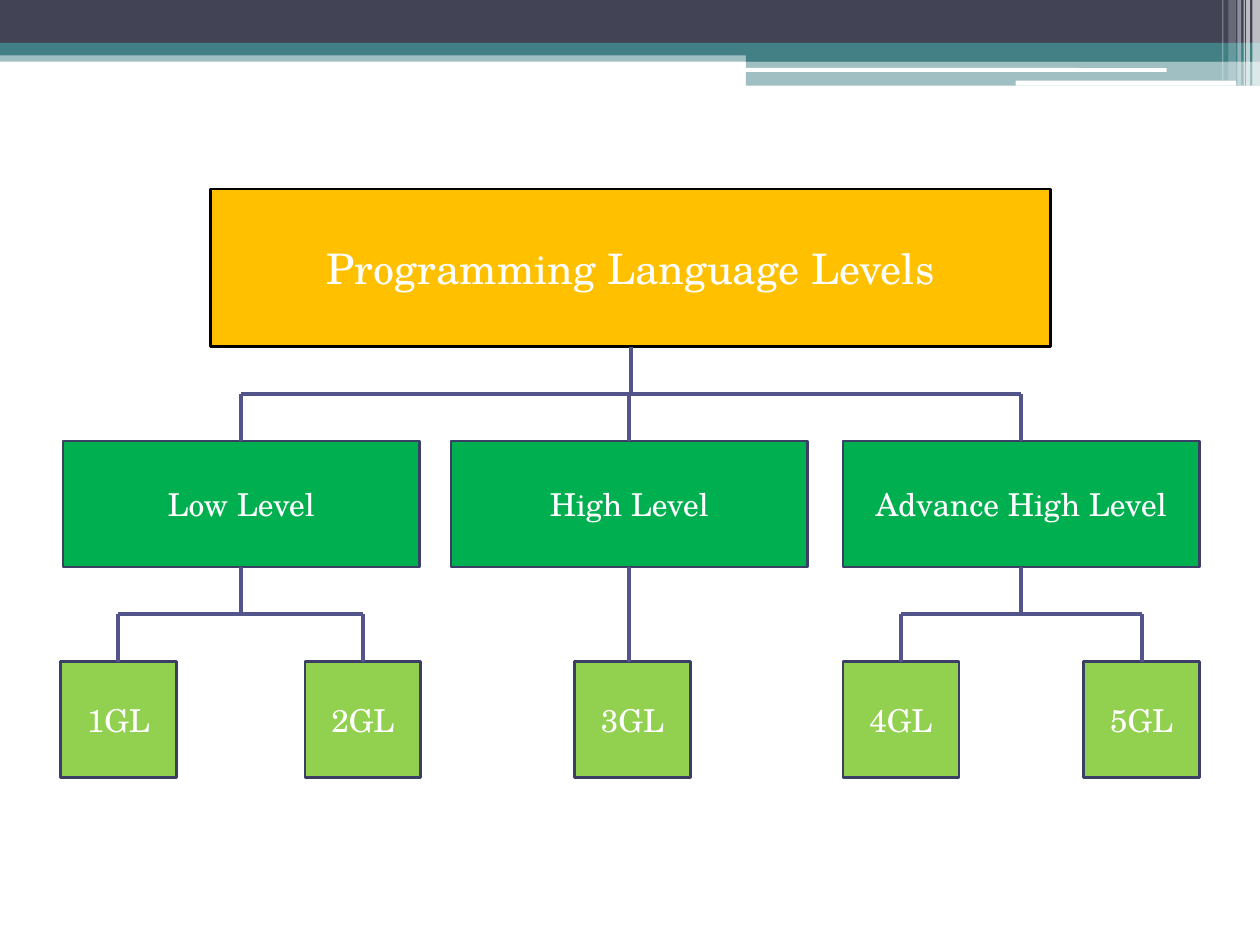
import pptx
import pptx.util
import pptx.dml.color
import pptx.enum.shapes
import pptx.enum.text
import pptx.oxml.ns
import lxml.etree

Inches = pptx.util.Inches
Pt = pptx.util.Pt
RGBColor = pptx.dml.color.RGBColor
SHAPES = pptx.enum.shapes.MSO_SHAPE

WHITE = RGBColor(0xFF, 0xFF, 0xFF)
BLACK = RGBColor(0x00, 0x00, 0x00)
SLATE = RGBColor(0x42, 0x44, 0x56)
TEAL = RGBColor(0x43, 0x80, 0x86)
AMBER = RGBColor(0xFF, 0xC0, 0x00)
GREEN = RGBColor(0x00, 0xB0, 0x50)
LIME = RGBColor(0x92, 0xD0, 0x50)
BOX_EDGE = RGBColor(0x3D, 0x3E, 0x66)
BRANCH = RGBColor(0x53, 0x54, 0x8A)
FONT = "TeX Gyre Schola"

HEADER_BANDS = [
    (0, 0.4, 10, 0.09, TEAL, 50),
    (0, 0, 10, 0.34, SLATE, 100),
    (0, 0.34, 10, 0.1, TEAL, 100),
    (5.92, 0.39, 4.08, 0.1, TEAL, 100),
    (5.92, 0.48, 4.08, 0.2, TEAL, 50),
]
HEADER_RULES = [(5.91, 0.54, 3.35, 0.03), (8.06, 0.64, 1.75, 0.04)]
HEADER_STRIPES = [
    (9.94, 0.06, 0.68, 65),
    (9.89, 0.03, 0.68, 65),
    (9.87, 0.01, 0.68, 60),
    (9.82, 0.03, 0.68, 40),
    (9.75, 0.06, 0.64, 20),
    (9.7, 0.01, 0.64, 30),
]

ROOT = "Programming Language Levels"
LEVELS = [
    ("Low Level", 0.5, [("1GL", 0.48), ("2GL", 2.42)]),
    ("High Level", 3.58, [("3GL", 4.56)]),
    ("Advance High Level", 6.69, [("4GL", 6.69), ("5GL", 8.6)]),
]
ROOT_LEFT, ROOT_TOP, ROOT_WIDTH, ROOT_HEIGHT = 1.67, 1.5, 6.67, 1.25
LEVEL_TOP, LEVEL_WIDTH, LEVEL_HEIGHT = 3.5, 2.83, 1
GENERATION_TOP, GENERATION_SIDE = 5.25, 0.92


def add_block(slide, geometry, left, top, width, height, color, opacity=100):
    block = slide.shapes.add_shape(
        geometry, Inches(left), Inches(top), Inches(width), Inches(height))
    block.shadow.inherit = False
    block.fill.solid()
    block.fill.fore_color.rgb = color
    block.line.fill.background()
    if opacity < 100:
        tint = block.fill._xPr.find(".//" + pptx.oxml.ns.qn("a:srgbClr"))
        alpha = lxml.etree.SubElement(tint, pptx.oxml.ns.qn("a:alpha"))
        alpha.set("val", str(opacity * 1000))
    return block


def add_box(slide, label, left, top, width, height, color, edge=BOX_EDGE, size=18):
    box = add_block(slide, SHAPES.RECTANGLE, left, top, width, height, color)
    box.line.color.rgb = edge
    box.line.width = Pt(1.5)
    box.text_frame.word_wrap = True
    box.text_frame.vertical_anchor = pptx.enum.text.MSO_ANCHOR.MIDDLE
    paragraph = box.text_frame.paragraphs[0]
    paragraph.alignment = pptx.enum.text.PP_ALIGN.CENTER
    run = paragraph.add_run()
    run.text = label
    run.font.name = FONT
    run.font.size = Pt(size)
    run.font.color.rgb = WHITE


def add_line(slide, x1, y1, x2, y2):
    line = slide.shapes.add_connector(
        pptx.enum.shapes.MSO_CONNECTOR.STRAIGHT,
        Inches(x1), Inches(y1), Inches(x2), Inches(y2))
    line.line.color.rgb = BRANCH
    line.line.width = Pt(2.25)
    lxml.etree.SubElement(line._element.spPr, pptx.oxml.ns.qn("a:effectLst"))


def add_branches(slide, parent_x, parent_bottom, child_xs, child_top):
    if len(child_xs) == 1:
        add_line(slide, parent_x, parent_bottom, parent_x, child_top)
        return
    bar_y = (parent_bottom + child_top) / 2
    add_line(slide, parent_x, parent_bottom, parent_x, bar_y)
    add_line(slide, child_xs[0], bar_y, child_xs[-1], bar_y)
    for x in child_xs:
        add_line(slide, x, bar_y, x, child_top)


def add_header(slide):
    for left, top, width, height, color, opacity in HEADER_BANDS:
        add_block(slide, SHAPES.RECTANGLE, left, top, width, height, color, opacity)
    for rule in HEADER_RULES:
        add_block(slide, SHAPES.ROUNDED_RECTANGLE, *rule, WHITE)
    for left, width, height, opacity in HEADER_STRIPES:
        add_block(slide, SHAPES.RECTANGLE, left, 0, width, height, WHITE, opacity)


def add_tree(slide):
    add_box(slide, ROOT, ROOT_LEFT, ROOT_TOP, ROOT_WIDTH, ROOT_HEIGHT, AMBER, BLACK, 24)
    level_xs = [left + LEVEL_WIDTH / 2 for _, left, _ in LEVELS]
    for (level, left, generations), level_x in zip(LEVELS, level_xs):
        add_box(slide, level, left, LEVEL_TOP, LEVEL_WIDTH, LEVEL_HEIGHT, GREEN)
        for generation, generation_left in generations:
            add_box(slide, generation, generation_left, GENERATION_TOP,
                    GENERATION_SIDE, GENERATION_SIDE, LIME)
        generation_xs = [x + GENERATION_SIDE / 2 for _, x in generations]
        add_branches(slide, level_x, LEVEL_TOP + LEVEL_HEIGHT,
                     generation_xs, GENERATION_TOP)
    add_branches(slide, ROOT_LEFT + ROOT_WIDTH / 2, ROOT_TOP + ROOT_HEIGHT,
                 level_xs, LEVEL_TOP)


def main():
    presentation = pptx.Presentation()
    presentation.slide_width = Inches(10)
    presentation.slide_height = Inches(7.5)
    slide = presentation.slides.add_slide(presentation.slide_layouts[6])
    add_header(slide)
    add_tree(slide)
    presentation.save("out.pptx")


if __name__ == "__main__":
    main()
